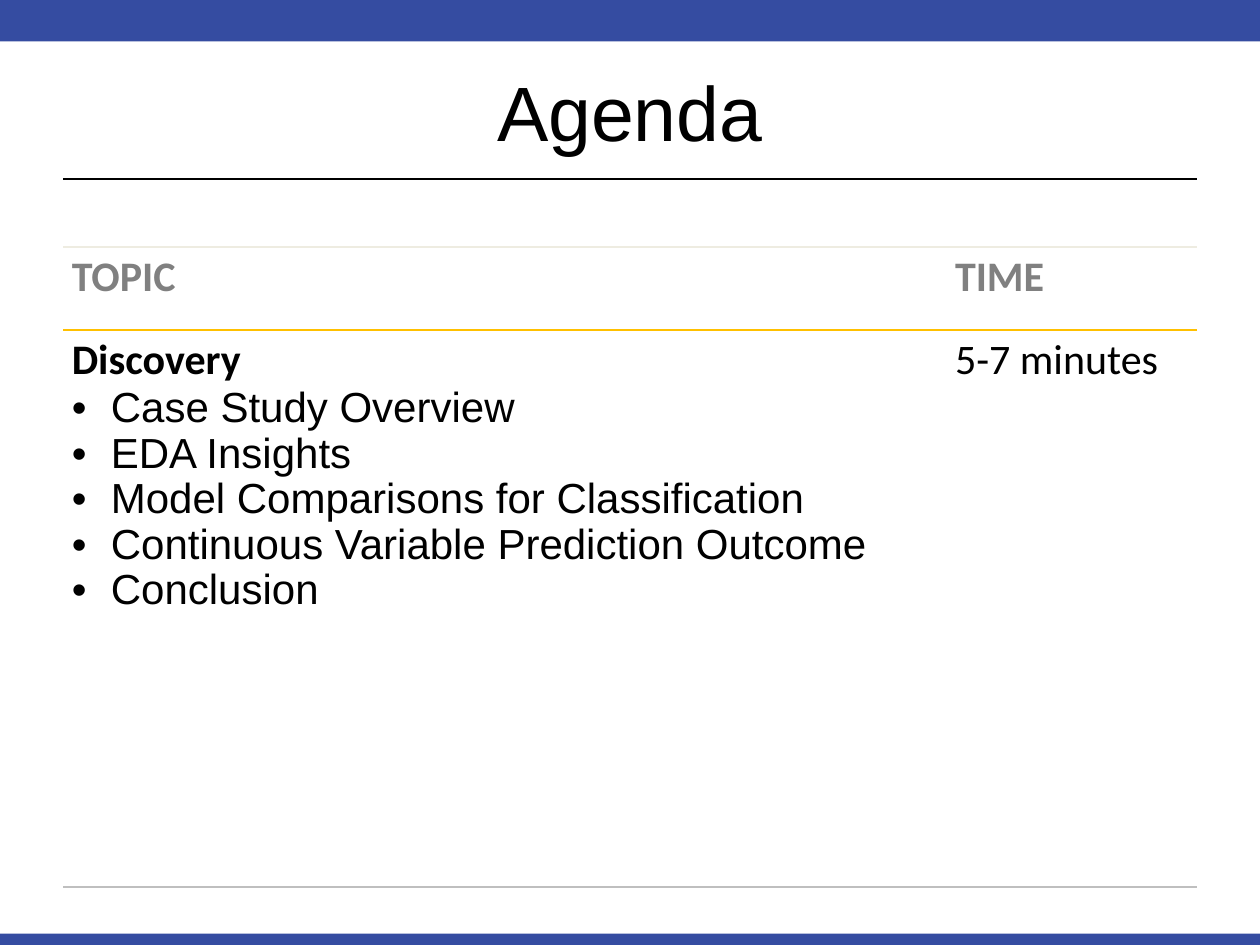
import dataclasses

import pptx
import pptx.dml.color
import pptx.enum.shapes
import pptx.enum.text
import pptx.oxml
import pptx.oxml.ns
import pptx.util

Inches = pptx.util.Inches
Pt = pptx.util.Pt


@dataclasses.dataclass(frozen=True)
class Theme:
    band: str = "354CA1"
    ink: str = "000000"
    heading: str = "808080"
    pale_rule: str = "EEECE1"
    gold_rule: str = "FFC000"
    gray_rule: str = "BFBFBF"
    sans: str = "Arial"
    table_font: str = "Calibri"
    title_size: int = 44
    text_size: int = 24


THEME = Theme()
NO_TABLE_STYLE = "{2D5ABB26-0587-4C30-8999-92F81FD0307C}"
TOPICS = [
    "Case Study Overview",
    "EDA Insights",
    "Model Comparisons for Classification",
    "Continuous Variable Prediction Outcome",
    "Conclusion",
]


def rgb(color):
    return pptx.dml.color.RGBColor.from_string(color)


def xml_element(markup):
    return pptx.oxml.parse_xml(
        markup.replace(">", f" {pptx.oxml.ns.nsdecls('a')}>", 1)
        if not markup.endswith("/>") or markup.count("<") > 1
        else markup.replace("/>", f" {pptx.oxml.ns.nsdecls('a')}/>")
    )


def format_paragraph(paragraph, font, size, color, bold=False):
    for span in paragraph.runs:
        span.font.name = font
        span.font.size = Pt(size)
        span.font.bold = bold
        span.font.color.rgb = rgb(color)


def add_band(page, top, height):
    band = page.shapes.add_shape(
        pptx.enum.shapes.MSO_SHAPE.RECTANGLE, 0, Inches(top), Inches(10), Inches(height)
    )
    band.shadow.inherit = False
    band.fill.solid()
    band.fill.fore_color.rgb = rgb(THEME.band)
    band.line.fill.background()


def add_title_rule(page):
    rule = page.shapes.add_connector(
        pptx.enum.shapes.MSO_CONNECTOR.STRAIGHT,
        Inches(0.5), Inches(1.42), Inches(9.5), Inches(1.42),
    )
    rule.line.color.rgb = rgb(THEME.ink)
    rule.line.width = Pt(1.25)
    rule._element.spPr.append(xml_element("<a:effectLst/>"))


def set_title(page, text):
    title = page.shapes.title
    title.left, title.top = Inches(0.5), Inches(0.25)
    title.width, title.height = Inches(9), Inches(1.25)
    title.text_frame.text = text
    title.text_frame.vertical_anchor = pptx.enum.text.MSO_ANCHOR.MIDDLE
    paragraph = title.text_frame.paragraphs[0]
    paragraph.alignment = pptx.enum.text.PP_ALIGN.CENTER
    format_paragraph(paragraph, THEME.sans, THEME.title_size, THEME.ink)


def set_cell(cell, text, color, bold, top_rule, bottom_rule):
    cell.margin_left = cell.margin_right = Inches(0.07)
    cell.margin_top = cell.margin_bottom = Inches(0.04)
    cell.text_frame.text = text
    format_paragraph(
        cell.text_frame.paragraphs[0], THEME.table_font, THEME.text_size, color, bold
    )
    properties = cell._tc.get_or_add_tcPr()
    for side, rule_color in (("lnT", top_rule), ("lnB", bottom_rule)):
        properties.append(xml_element(
            f'<a:{side} w="{Pt(1)}"><a:solidFill><a:srgbClr val="{rule_color}"/>'
            f"</a:solidFill></a:{side}>"
        ))
    cell.fill.background()


def add_bullet(cell, text):
    paragraph = cell.text_frame.add_paragraph()
    paragraph.text = text
    paragraph.line_spacing = 0.97
    format_paragraph(paragraph, THEME.sans, THEME.text_size, THEME.ink)
    properties = paragraph._p.get_or_add_pPr()
    properties.set("marL", str(Inches(0.31)))
    properties.set("indent", str(-Inches(0.31)))
    properties.append(xml_element('<a:buFont typeface="Arial"/>'))
    properties.append(xml_element('<a:buChar char="•"/>'))


def add_agenda(page):
    frame = page.shapes.add_table(
        2, 2, Inches(0.5), Inches(1.96), Inches(9), Inches(5.08)
    )
    table = frame.table
    table.first_row = table.horz_banding = False
    table._tbl.tblPr.find(pptx.oxml.ns.qn("a:tableStyleId")).text = NO_TABLE_STYLE
    for column, width in zip(table.columns, (7.01, 1.99)):
        column.width = Inches(width)
    for row, height in zip(table.rows, (0.66, 4.42)):
        row.height = Inches(height)
    for column, heading in enumerate(("TOPIC", "TIME")):
        set_cell(table.cell(0, column), heading, THEME.heading, True,
                 THEME.pale_rule, THEME.gold_rule)
    for column, (text, bold) in enumerate((("Discovery", True), ("5-7 minutes", False))):
        set_cell(table.cell(1, column), text, THEME.ink, bold,
                 THEME.gold_rule, THEME.gray_rule)
    for topic in TOPICS:
        add_bullet(table.cell(1, 0), topic)


def main():
    deck = pptx.Presentation()
    deck.slide_width, deck.slide_height = Inches(10), Inches(7.5)
    page = deck.slides.add_slide(deck.slide_layouts[5])
    add_band(page, 7.41, 0.1)
    add_band(page, 0, 0.33)
    add_title_rule(page)
    set_title(page, "Agenda")
    add_agenda(page)
    deck.save("out.pptx")


if __name__ == "__main__":
    main()
